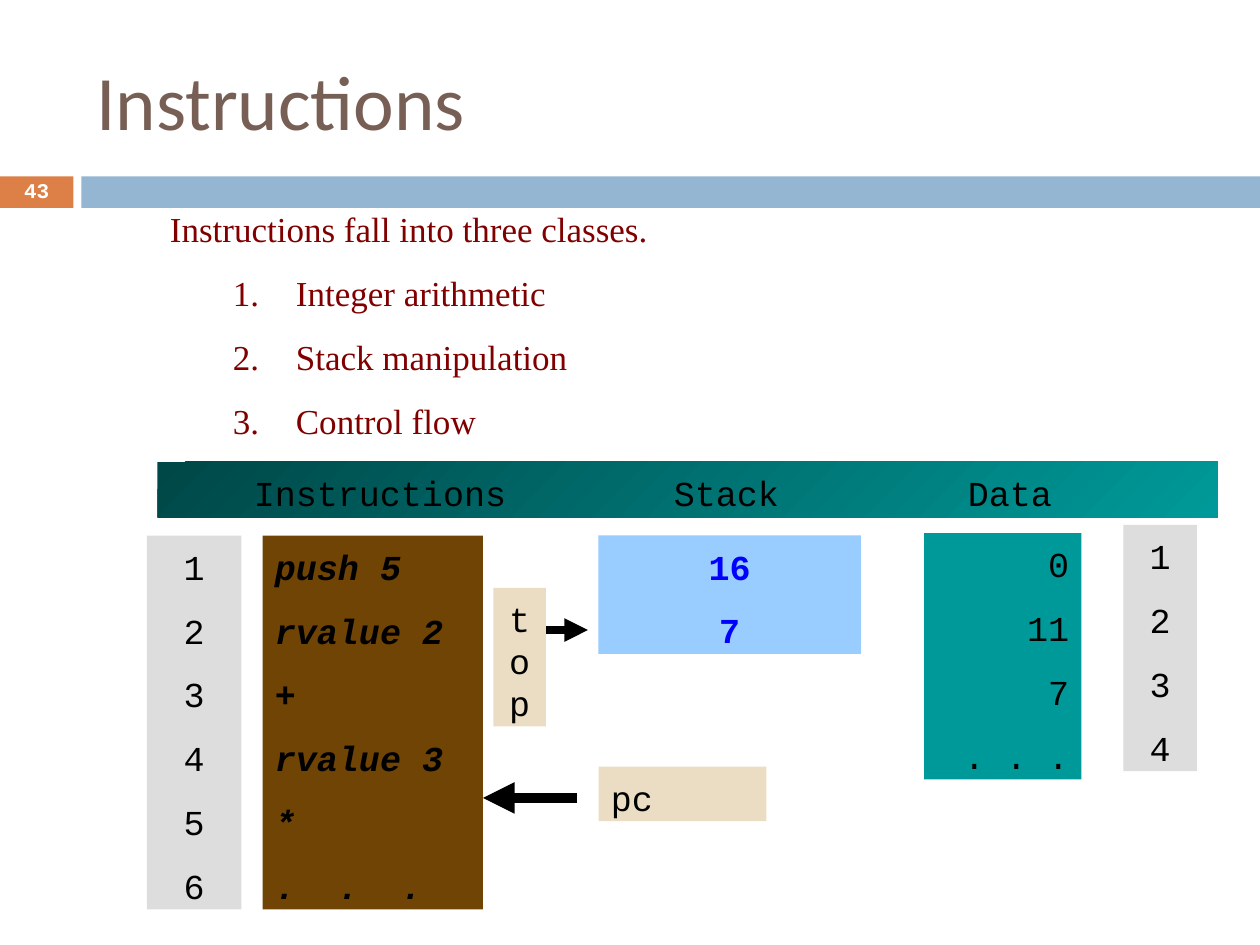
from lxml import etree
from pptx import Presentation
from pptx.dml.color import RGBColor
from pptx.enum.shapes import MSO_CONNECTOR, MSO_SHAPE
from pptx.enum.text import MSO_ANCHOR, PP_ALIGN
from pptx.oxml.ns import qn
from pptx.util import Pt

LEFT, CENTER, RIGHT = PP_ALIGN.LEFT, PP_ALIGN.CENTER, PP_ALIGN.RIGHT
TOP, MIDDLE = MSO_ANCHOR.TOP, MSO_ANCHOR.MIDDLE
RECTANGLE, STRAIGHT = MSO_SHAPE.RECTANGLE, MSO_CONNECTOR.STRAIGHT

BLACK = RGBColor(0x00, 0x00, 0x00)
WHITE = RGBColor(0xFF, 0xFF, 0xFF)
TAUPE = RGBColor(0x77, 0x5F, 0x55)
MAROON = RGBColor(0x80, 0x00, 0x00)
ORANGE = RGBColor(0xDD, 0x80, 0x47)
STEEL = RGBColor(0x94, 0xB6, 0xD2)
BROWN = RGBColor(0x70, 0x44, 0x04)
GRAY = RGBColor(0xDD, 0xDD, 0xDD)
SKY = RGBColor(0x99, 0xCC, 0xFF)
BLUE = RGBColor(0x00, 0x00, 0xFF)
TEAL = RGBColor(0x00, 0x99, 0x99)
DARK_TEAL = RGBColor(0x00, 0x47, 0x47)
SAND = RGBColor(0xEB, 0xDD, 0xC3)

LINE_HEIGHT = 24
PARAGRAPH_GAP = 12.5
TOP_INSET = 5.5
BOTTOM_INSET = 1.7

CODE = {"name": "Courier New", "size": Pt(20), "color": BLACK}
CODE_BOLD_ITALIC = {**CODE, "bold": True, "italic": True}
STACK_VALUE = {**CODE, "bold": True, "color": BLUE}
BODY = {"name": "Times New Roman", "size": Pt(20), "color": MAROON}
TITLE = {"name": "Calibri", "size": Pt(44), "color": TAUPE}
PAGE_NUMBER = {"name": "Courier New", "size": Pt(12), "bold": True, "color": WHITE}

INTRO = "Instructions fall into three classes."
CLASSES = ["Integer arithmetic", "Stack manipulation", "Control flow"]
PROGRAM = ["push 5", "rvalue 2", "+", "rvalue 3", "*", ".  .  ."]
DATA = ["0", "11", "7", ". . ."]
HEADINGS = [("Instructions", 48), ("Stack", 288), ("Data", 456)]

BANDS = [(0, 42, ORANGE), (46.5, 673.5, STEEL)]
BOXES = [
    (150, 306, 126, BROWN, PROGRAM, CODE_BOLD_ITALIC, LEFT),
    (84, 306, 54, GRAY, ["1", "2", "3", "4", "5", "6"], CODE, CENTER),
    (342, 306, 150, SKY, ["16", "7"], STACK_VALUE, CENTER),
    (528, 304.7, 90, TEAL, DATA, CODE, RIGHT),
    (642, 300, 42, GRAY, ["1", "2", "3", "4"], CODE, CENTER),
    (342, 438, 96, SAND, ["pc"], CODE, LEFT),
]
ARROWS = [(330, 276, 456, 6), (312, 336, 360, 4.5)]


def write(shape, lines, style, align=LEFT, anchor=TOP, line_spacing=Pt(LINE_HEIGHT),
          insets=(TOP_INSET, BOTTOM_INSET)):
    frame = shape.text_frame
    frame.word_wrap = True
    frame.vertical_anchor = anchor
    frame.margin_top, frame.margin_bottom = map(Pt, insets)
    for index, line in enumerate(lines):
        paragraph = frame.add_paragraph() if index else frame.paragraphs[0]
        paragraph.alignment = align
        paragraph.line_spacing = line_spacing
        if index:
            paragraph.space_before = Pt(PARAGRAPH_GAP)
        run = paragraph.add_run()
        run.text = line
        for name, value in style.items():
            if name == "color":
                run.font.color.rgb = value
            else:
                setattr(run.font, name, value)
    return frame.paragraphs


def add_rectangle(slide, left, top, width, height, color):
    shape = slide.shapes.add_shape(RECTANGLE, Pt(left), Pt(top), Pt(width), Pt(height))
    shape.shadow.inherit = False
    shape.line.fill.background()
    shape.fill.solid()
    shape.fill.fore_color.rgb = color
    return shape


def add_text(slide, left, top, width, height, lines, style, **layout):
    box = slide.shapes.add_textbox(Pt(left), Pt(top), Pt(width), Pt(height))
    return write(box, lines, style, **layout)


def add_number(paragraph, color):
    properties = paragraph._p.get_or_add_pPr()
    properties.set("marL", str(Pt(72)))
    properties.set("indent", str(Pt(-36)))
    bullet_color = etree.SubElement(properties, qn("a:buClr"))
    etree.SubElement(bullet_color, qn("a:srgbClr"), val=str(color))
    etree.SubElement(properties, qn("a:buAutoNum"), type="arabicPeriod")


def add_header(slide):
    header = add_rectangle(slide, 90, 264, 606, 31.7, TEAL)
    header.fill.gradient()
    header.fill.gradient_angle = 315
    for stop, position, color in zip(header.fill.gradient_stops, (0, 1), (DARK_TEAL, TEAL)):
        stop.position = position
        stop.color.rgb = color
    paragraph = write(header, ["".join("\t" + label for label, _ in HEADINGS)], CODE)[0]
    tabs = etree.SubElement(paragraph._p.get_or_add_pPr(), qn("a:tabLst"))
    for _, position in HEADINGS:
        etree.SubElement(tabs, qn("a:tab"), pos=str(Pt(position)), algn="l")


def add_arrow(slide, start, end, y, weight):
    arrow = slide.shapes.add_connector(STRAIGHT, Pt(start), Pt(y), Pt(end), Pt(y))
    arrow.line.color.rgb = BLACK
    arrow.line.width = Pt(weight)
    etree.SubElement(arrow.line._get_or_add_ln(), qn("a:tailEnd"), type="triangle",
                     w="med", len="med")
    etree.SubElement(arrow._element.spPr, qn("a:effectLst"))


def main():
    presentation = Presentation()
    presentation.slide_width, presentation.slide_height = Pt(720), Pt(540)
    slide = presentation.slides.add_slide(presentation.slide_layouts[6])

    for left, width, color in BANDS:
        add_rectangle(slide, left, 100.8, width, 18, color)
    add_text(slide, 48, 18, 642, 78, ["Instructions"], TITLE, anchor=MIDDLE,
             line_spacing=1.0, insets=(3.6, 3.6))
    paragraphs = add_text(slide, 90, 113, 612, 141, [INTRO, *CLASSES], BODY)
    for paragraph in paragraphs[1:]:
        add_number(paragraph, MAROON)

    for left, top, width, color, lines, style, align in BOXES:
        count = len(lines)
        height = (count * LINE_HEIGHT + (count - 1) * PARAGRAPH_GAP
                  + TOP_INSET + BOTTOM_INSET)
        write(add_rectangle(slide, left, top, width, height, color), lines, style, align)
    add_header(slide)
    for arrow in ARROWS:
        add_arrow(slide, *arrow)
    write(add_rectangle(slide, 282, 336, 30, 79.2, SAND), ["top"], CODE, CENTER)
    add_text(slide, 0, 100, 42, 19.5, ["43"], PAGE_NUMBER, align=CENTER, anchor=MIDDLE,
             line_spacing=0.8, insets=(3.6, 3.6))
    presentation.save("out.pptx")


if __name__ == "__main__":
    main()
